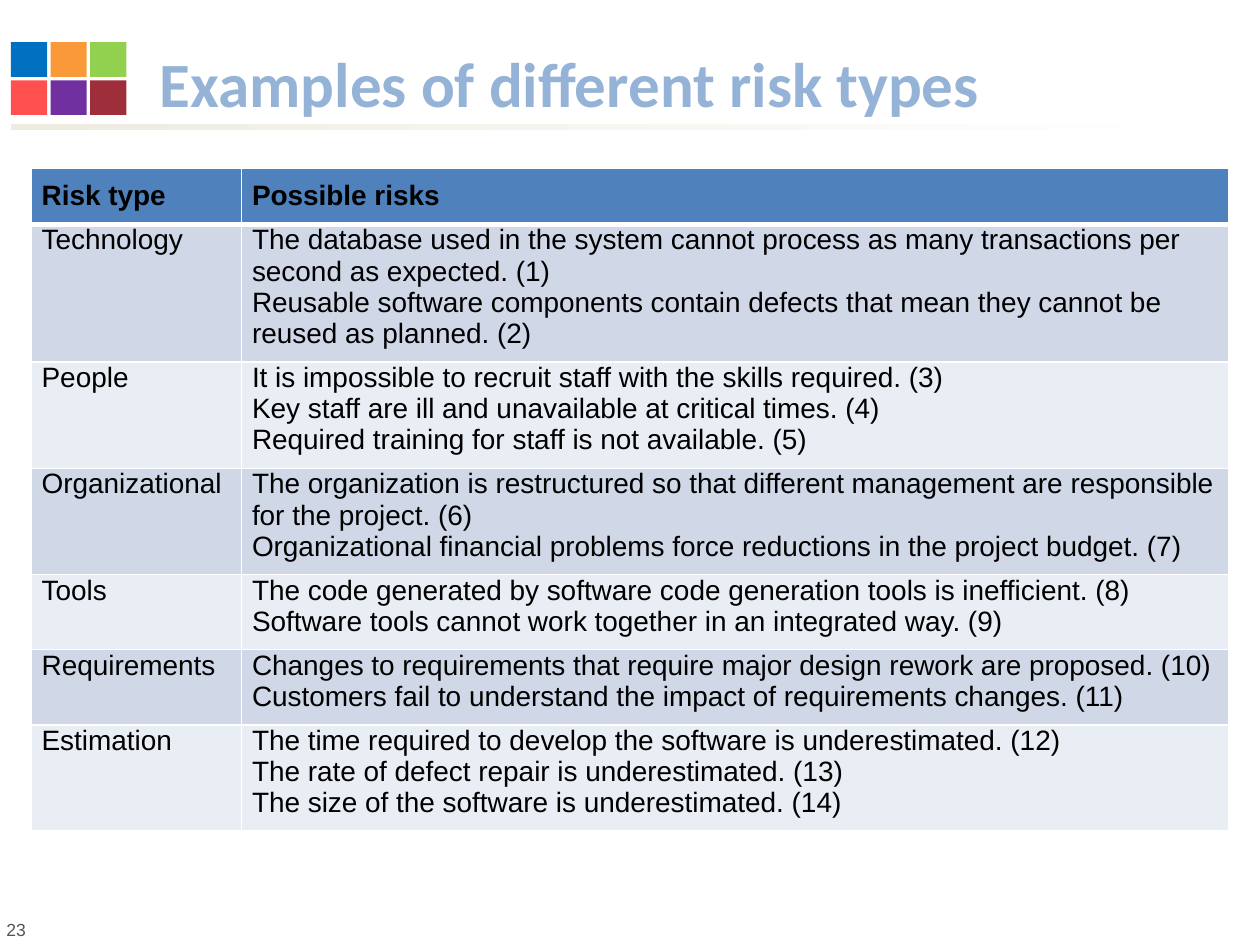
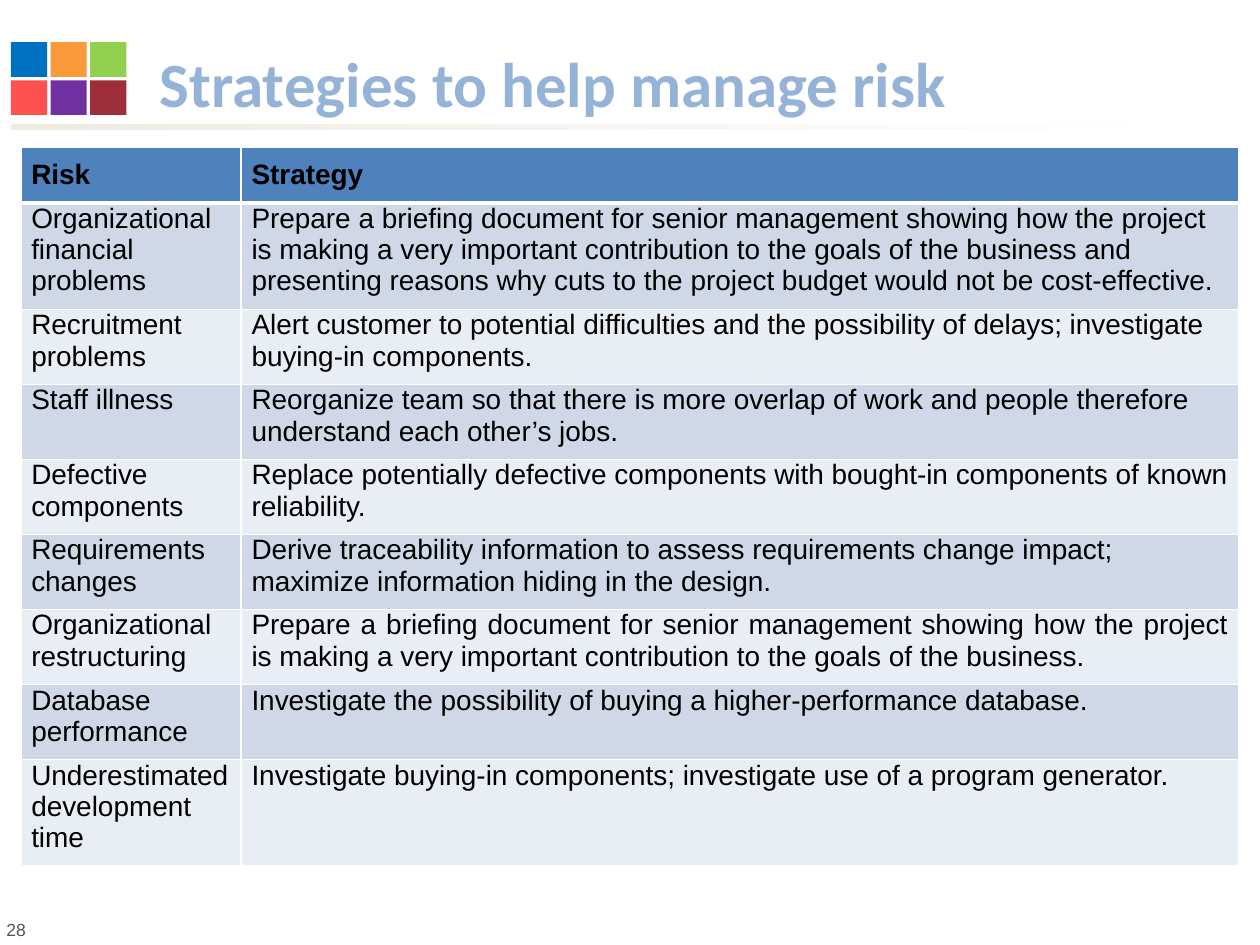
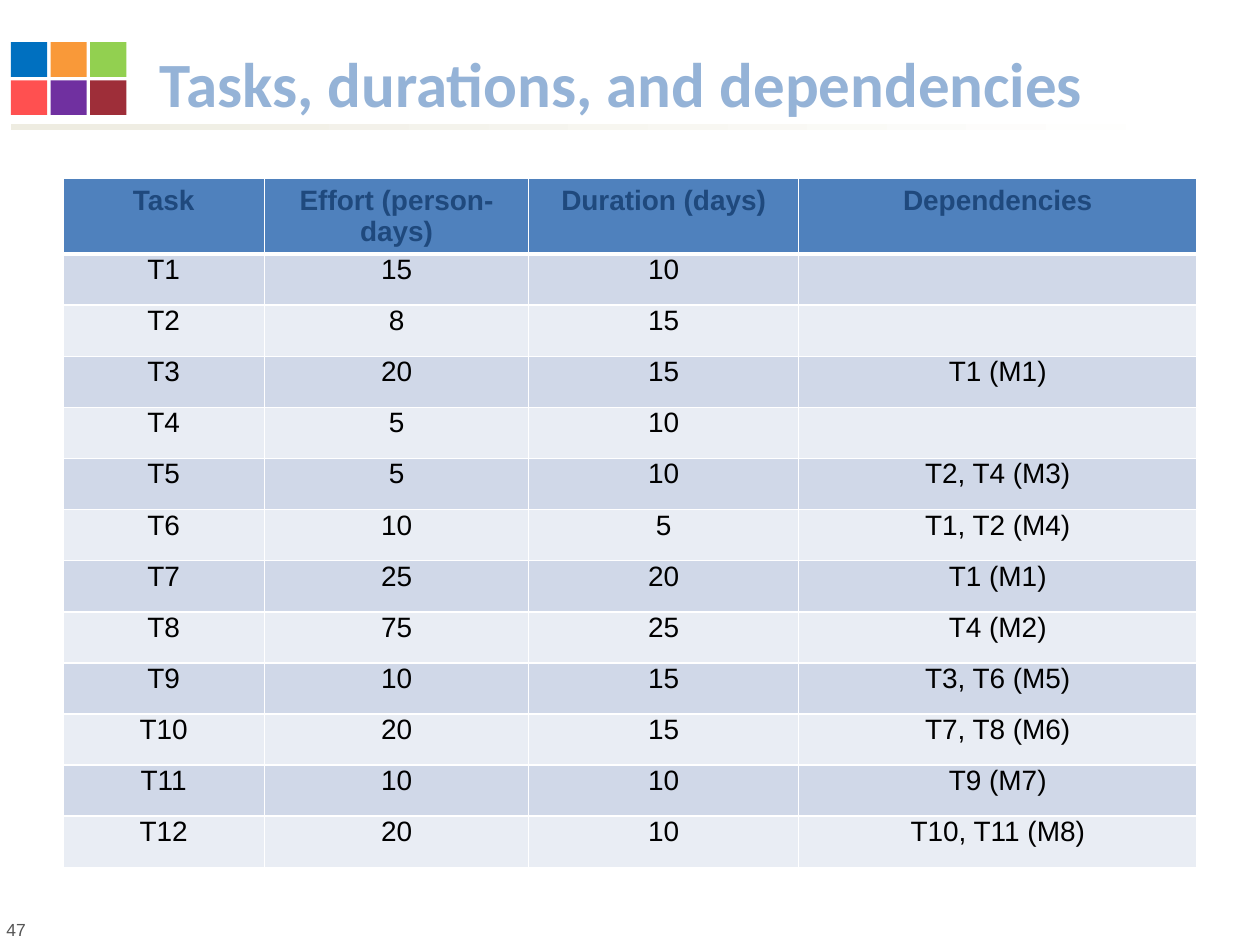
import pptx
import pptx.dml.color
import pptx.enum.shapes
import pptx.enum.text
import pptx.oxml
import pptx.oxml.ns
import pptx.util

Cm = pptx.util.Cm
Pt = pptx.util.Pt
ALIGN = pptx.enum.text.PP_ALIGN

COLORS = {
    "title": "95B3D7",
    "header": "4F81BD",
    "header_navy": "1F497D",
    "band_dark": "D0D8E8",
    "band_light": "E9EDF4",
    "text": "000000",
    "number": "555555",
    "border": "FFFFFF",
    "rule_start": "EEECE1",
    "rule_end": "FFFFFF",
    "blue": "0070C0",
    "orange": "F99939",
    "green": "92D050",
    "red": "FF5050",
    "purple": "7030A0",
    "maroon": "9E2E39",
}
MOSAIC = [["blue", "orange", "green"], ["red", "purple", "maroon"]]

FONTS = {
    "title": {"name": "Calibri", "size": Pt(36), "bold": True},
    "number": {"name": "Arial", "size": Pt(10), "bold": False},
    "header": {"name": "Arial", "size": Pt(16), "bold": True},
    "cell": {"name": "Arial", "size": Pt(16), "bold": False},
}
TITLE_BOX = {"left": Cm(2.97), "top": Cm(0.81), "width": Cm(22.02), "height": Cm(1.73)}
TITLE_FRAME = {
    "word_wrap": True,
    "auto_size": pptx.enum.text.MSO_AUTO_SIZE.NONE,
    "vertical_anchor": pptx.enum.text.MSO_ANCHOR.BOTTOM,
}
PLAIN_TABLE = {"first_row": False, "horz_banding": False}
ROW_HEIGHT = Cm(1.03)
CELL_LINE = Pt(17.9)

RISK_TYPES = [
    ["Risk type", "Possible risks"],
    ["Technology",
     "The database used in the system cannot process as many transactions per second as expected. (1)\n"
     "Reusable software components contain defects that mean they cannot be reused as planned. (2)"],
    ["People",
     "It is impossible to recruit staff with the skills required. (3)\n"
     "Key staff are ill and unavailable at critical times. (4)\n"
     "Required training for staff is not available. (5)"],
    ["Organizational",
     "The organization is restructured so that different management are responsible for the project. (6)\n"
     "Organizational financial problems force reductions in the project budget. (7)"],
    ["Tools",
     "The code generated by software code generation tools is inefficient. (8)\n"
     "Software tools cannot work together in an integrated way. (9)"],
    ["Requirements",
     "Changes to requirements that require major design rework are proposed. (10)\n"
     "Customers fail to understand the impact of requirements changes. (11)"],
    ["Estimation",
     "The time required to develop the software is underestimated. (12)\n"
     "The rate of defect repair is underestimated. (13)\n"
     "The size of the software is underestimated. (14)"],
]
STRATEGIES = [
    ["Risk", "Strategy"],
    ["Organizational financial problems",
     "Prepare a briefing document for senior management showing how the project is making a very "
     "important contribution to the goals of the business and presenting reasons why cuts to the "
     "project budget would not be cost-effective."],
    ["Recruitment problems",
     "Alert customer to potential difficulties and the possibility of delays; investigate "
     "buying-in components."],
    ["Staff illness",
     "Reorganize team so that there is more overlap of work and people therefore understand "
     "each other’s jobs."],
    ["Defective components",
     "Replace potentially defective components with bought-in components of known reliability."],
    ["Requirements changes",
     "Derive traceability information to assess requirements change impact; maximize "
     "information hiding in the design."],
    ["Organizational restructuring",
     "Prepare a briefing document for senior management showing how the project is making a very "
     "important contribution to the goals of the business."],
    ["Database performance",
     "Investigate the possibility of buying a higher-performance database."],
    ["Underestimated development time",
     "Investigate buying-in components; investigate use of a program generator."],
]
JUSTIFIED_STRATEGIES = {(row, 1) for row in (6, 7, 8)}
TASKS = [
    ["Task", "Effort (person-days)", "Duration (days)", "Dependencies"],
    ["T1", "15", "10", ""],
    ["T2", "8", "15", ""],
    ["T3", "20", "15", "T1 (M1)"],
    ["T4", "5", "10", ""],
    ["T5", "5", "10", "T2, T4 (M3)"],
    ["T6", "10", "5", "T1, T2 (M4)"],
    ["T7", "25", "20", "T1 (M1)"],
    ["T8", "75", "25", "T4 (M2)"],
    ["T9", "10", "15", "T3, T6 (M5)"],
    ["T10", "20", "15", "T7, T8 (M6)"],
    ["T11", "10", "10", "T9 (M7)"],
    ["T12", "20", "10", "T10, T11 (M8)"],
]


def rgb(color):
    return pptx.dml.color.RGBColor.from_string(COLORS[color])


def apply(target, values):
    for name, value in values.items():
        setattr(target, name, value)


class Deck:
    def __init__(self):
        self.presentation = pptx.Presentation()
        apply(self.presentation, {"slide_width": Cm(25.4), "slide_height": Cm(19.05)})
        self.slide = None

    def add_slide(self, title, number):
        self.slide = self.presentation.slides.add_slide(self.presentation.slide_layouts[5])
        self.add_rule()
        self.add_number(number)
        self.add_mosaic()
        self.add_title(title)

    def style_text(self, frame, font, color, alignment=ALIGN.LEFT, line_spacing=None):
        for paragraph in frame.paragraphs:
            apply(paragraph, {"alignment": alignment, "line_spacing": line_spacing})
            for run in paragraph.runs:
                apply(run.font, FONTS[font])
                run.font.color.rgb = rgb(color)

    def add_title(self, text):
        title = self.slide.shapes.title
        apply(title, TITLE_BOX)
        title.text_frame.text = text
        apply(title.text_frame, TITLE_FRAME)
        self.style_text(title.text_frame, "title", "title")

    def add_number(self, number):
        box = self.slide.shapes.add_textbox(Cm(-0.12), Cm(18.41), Cm(14.73), Cm(0.69))
        box.text_frame.text = str(number)
        box.text_frame.word_wrap = True
        self.style_text(box.text_frame, "number", "number")

    def add_rectangle(self, left, top, width, height):
        rectangle = self.slide.shapes.add_shape(
            pptx.enum.shapes.MSO_SHAPE.RECTANGLE, Cm(left), Cm(top), Cm(width), Cm(height))
        rectangle.shadow.inherit = False
        rectangle.line.fill.background()
        return rectangle

    def add_rule(self):
        fill = self.add_rectangle(0.22, 2.5, 24.08, 0.12).fill
        fill.gradient()
        fill.gradient_angle = 0
        for stop, color in zip(fill.gradient_stops, ("rule_start", "rule_end")):
            stop.color.rgb = rgb(color)

    def add_mosaic(self):
        for row, colors in enumerate(MOSAIC):
            for column, color in enumerate(colors):
                tile = self.add_rectangle(0.22 + 0.8 * column, 0.85 + 0.77 * row, 0.73, 0.7)
                tile.fill.solid()
                tile.fill.fore_color.rgb = rgb(color)

    def add_borders(self, cell, row):
        widths = {"L": 1, "R": 1, "T": 3 if row == 1 else 1, "B": 3 if row == 0 else 1}
        for side, width in widths.items():
            cell._tc.get_or_add_tcPr().append(pptx.oxml.parse_xml(
                f'<a:ln{side} {pptx.oxml.ns.nsdecls("a")} w="{Pt(width)}"><a:solidFill>'
                f'<a:srgbClr val="{COLORS["border"]}"/></a:solidFill></a:ln{side}>'))

    def add_table(self, rows, left, top, widths, side=0.21, gap=0.25,
                  header_color="text", alignment=ALIGN.LEFT, justified=()):
        table = self.slide.shapes.add_table(
            len(rows), len(widths), Cm(left), Cm(top), Cm(sum(widths)), ROW_HEIGHT * len(rows)).table
        apply(table, PLAIN_TABLE)
        for column, width in zip(table.columns, widths):
            column.width = Cm(width)
        for row, texts in enumerate(rows):
            is_header = row == 0
            band = "header" if is_header else ("band_light", "band_dark")[row % 2]
            for column, text in enumerate(texts):
                cell = table.cell(row, column)
                apply(cell, {
                    "text": text,
                    "margin_left": Cm(side),
                    "margin_right": Cm(side),
                    "margin_top": Cm(gap if is_header else 0),
                    "margin_bottom": Cm(gap),
                })
                self.add_borders(cell, row)
                cell.fill.solid()
                cell.fill.fore_color.rgb = rgb(band)
                self.style_text(
                    cell.text_frame,
                    "header" if is_header else "cell",
                    header_color if is_header else "text",
                    ALIGN.JUSTIFY if (row, column) in justified else alignment,
                    CELL_LINE)


def main():
    deck = Deck()
    deck.add_slide("Examples of different risk types", 23)
    deck.add_table(RISK_TYPES, 0.63, 3.39, [4.24, 19.89])
    deck.add_slide("Strategies to help manage risk", 28)
    deck.add_table(STRATEGIES, 0.42, 2.96, [4.44, 20.11], justified=JUSTIFIED_STRATEGIES)
    deck.add_slide("Tasks, durations, and dependencies", 47)
    deck.add_table(TASKS, 1.27, 3.6, [4.06, 5.33, 5.44, 8.03], side=0.16, gap=0.13,
                   header_color="header_navy", alignment=ALIGN.CENTER)
    deck.presentation.save("out.pptx")


if __name__ == "__main__":
    main()
